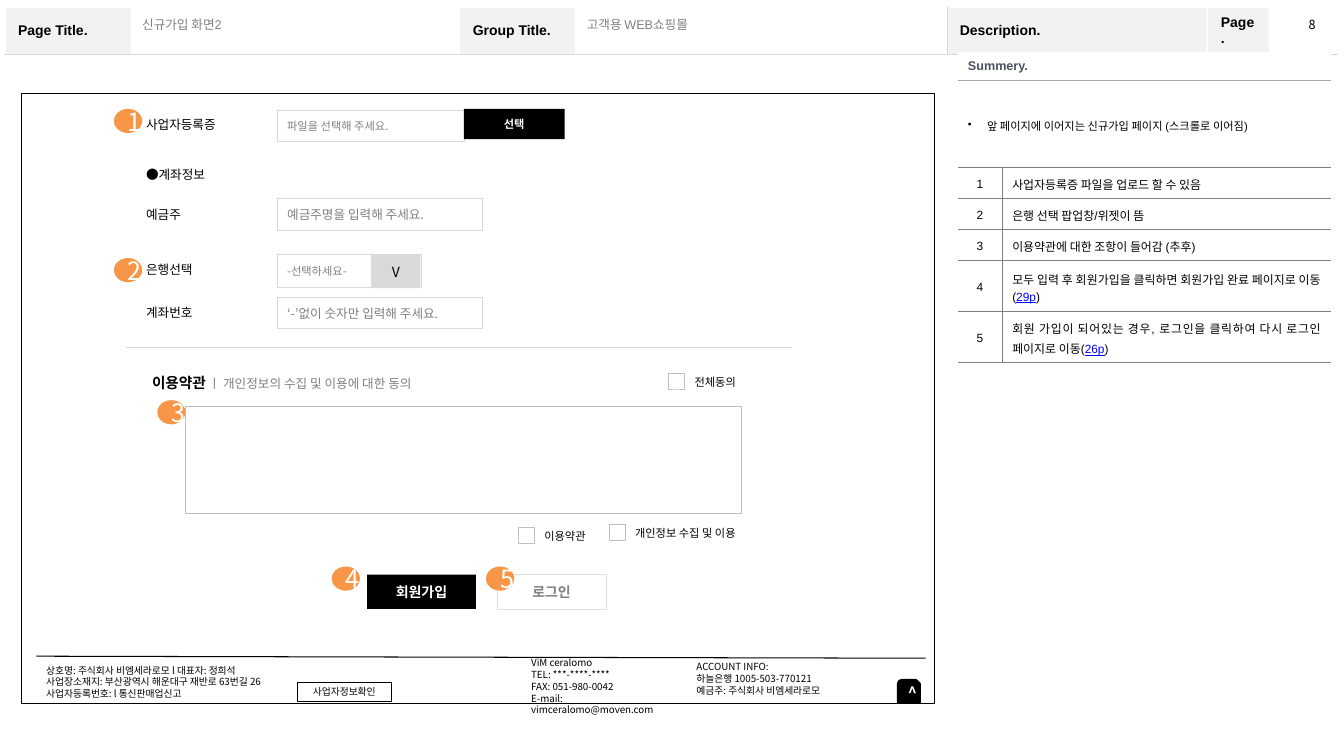
"""Build the second sign-up screen page of a shopping mall storyboard."""
import pptx
import pptx.dml.color
import pptx.enum.shapes
import pptx.enum.text
import pptx.oxml
import pptx.oxml.ns
import pptx.util

Inches = pptx.util.Inches
Pt = pptx.util.Pt
RGBColor = pptx.dml.color.RGBColor
SHAPE = pptx.enum.shapes.MSO_SHAPE
ALIGN = pptx.enum.text.PP_ALIGN
MIDDLE = pptx.enum.text.MSO_ANCHOR.MIDDLE
STRAIGHT = pptx.enum.shapes.MSO_CONNECTOR.STRAIGHT

BLACK = RGBColor(0x00, 0x00, 0x00)
WHITE = RGBColor(0xFF, 0xFF, 0xFF)
GREY = RGBColor(0x80, 0x80, 0x80)
SILVER = RGBColor(0xBF, 0xBF, 0xBF)
RULE_GREY = RGBColor(0xA6, 0xA6, 0xA6)
PALE = RGBColor(0xD9, 0xD9, 0xD9)
BUTTON_EDGE = RGBColor(0xDD, 0xDD, 0xDD)
HEADER_FILL = RGBColor(0xF2, 0xF2, 0xF2)
SLATE = RGBColor(0x4E, 0x52, 0x63)
ORANGE = RGBColor(0xF7, 0x96, 0x46)
LINK_BLUE = RGBColor(0x00, 0x00, 0xFF)
NOTO = "Noto Sans CJK KR"
DRAWING = pptx.oxml.ns.nsdecls("a")


def write(paragraph, text, size, colour=BLACK, bold=False, font=NOTO):
    run = paragraph.add_run()
    run.text = text
    run.font.size = Pt(size)
    run.font.name = font
    run.font.bold = bold
    run.font.color.rgb = colour
    return run


def set_borders(cell, left, right, top, bottom):
    properties = cell._tc.get_or_add_tcPr()
    for side, border in zip("LRTB", (left, right, top, bottom)):
        colour, points = border or (None, 0)
        paint = f'<a:solidFill><a:srgbClr val="{colour}"/></a:solidFill>' if border else "<a:noFill/>"
        properties.append(pptx.oxml.parse_xml(
            f'<a:ln{side} {DRAWING} w="{int(Pt(points))}">{paint}</a:ln{side}>'))


deck = pptx.Presentation()
deck.slide_width = Inches(13.33)
deck.slide_height = Inches(7.5)
slide = deck.slides.add_slide(deck.slide_layouts[1])
shapes = slide.shapes

for heading, text, left, width in (
    (shapes.title, "신규가입 화면2", 1.31, 3.24),
    (slide.placeholders[1], "고객용 WEB쇼핑몰", 5.72, 3.64),
):
    heading.left, heading.top = Inches(left), Inches(0.12)
    heading.width, heading.height = Inches(width), Inches(0.24)
    frame = heading.text_frame
    frame.auto_size = pptx.enum.text.MSO_AUTO_SIZE.NONE
    frame.vertical_anchor = MIDDLE
    line = frame.paragraphs[0]
    line.alignment = ALIGN.LEFT
    indents = line._p.get_or_add_pPr()
    indents.set("marL", "0")
    indents.set("indent", "0")
    indents.append(pptx.oxml.parse_xml(f"<a:buNone {DRAWING}/>"))
    write(line, text, 9, GREY, font="Arial")

page_grid = shapes.add_table(2, 7, Inches(0.05), Inches(0.07), Inches(13.22), Inches(7.14)).table
page_grid.first_row = page_grid.horz_banding = False
for column, width in zip(page_grid.columns, (1.26, 3.25, 1.15, 3.68, 2.59, 0.61, 0.68)):
    column.width = Inches(width)
page_grid.rows[0].height = Inches(0.47)
page_grid.rows[1].height = Inches(6.67)
page_grid.cell(1, 0).merge(page_grid.cell(1, 3))
page_grid.cell(1, 4).merge(page_grid.cell(1, 6))
white_edge, pale_edge = (WHITE, 1), (PALE, 0.25)
header_labels = {0: "Page Title.", 2: "Group Title.", 4: "Description.", 5: "Page."}
for row in range(2):
    for column in range(7):
        cell = page_grid.cell(row, column)
        set_borders(cell,
                    pale_edge if column == 4 else white_edge,
                    pale_edge if column == 3 else white_edge,
                    pale_edge if row else white_edge,
                    white_edge if row else pale_edge)
        cell.fill.background()
        if row == 0 and column in header_labels:
            cell.fill.solid()
            cell.fill.fore_color.rgb = HEADER_FILL
            cell.vertical_anchor = MIDDLE
            cell.margin_left = cell.margin_right = Inches(0.13)
            cell.margin_top = cell.margin_bottom = Inches(0.07)
            write(cell.text_frame.paragraphs[0], header_labels[column], 10, bold=True, font="Arial")

notes = (
    ("사업자등록증 파일을 업로드 할 수 있음", ""),
    ("은행 선택 팝업창/위젯이 뜸", ""),
    ("이용약관에 대한 조항이 들어감 (추후)", ""),
    ("모두 입력 후 회원가입을 클릭하면 회원가입 완료 페이지로 이동(", "29p"),
    ("회원 가입이 되어있는 경우, 로그인을 클릭하여 다시 로그인 페이지로 이동(", "26p"),
)
description = shapes.add_table(7, 2, Inches(9.5), Inches(0.52), Inches(3.7), Inches(3.07)).table
description.first_row = description.horz_banding = False
for column, width in zip(description.columns, (0.44, 3.26)):
    column.width = Inches(width)
for row, height in zip(description.rows, (0.28, 0.86, 0.3, 0.31, 0.31, 0.5, 0.51)):
    row.height = Inches(height)
for row in range(2):
    description.cell(row, 0).merge(description.cell(row, 1))
rules = [None, (RULE_GREY, 0.25)] + [(GREY, 0.25)] * 6
for row in range(7):
    for column in range(2):
        cell = description.cell(row, column)
        divider = (GREY, 0.25) if row > 1 else None
        set_borders(cell, divider if column else None, None if column else divider,
                    rules[row], rules[row + 1])
        cell.fill.background()
        cell.vertical_anchor = MIDDLE
        line = cell.text_frame.paragraphs[0]
        if row > 1:
            line.line_spacing = 1.2
            line.alignment = ALIGN.JUSTIFY if column else ALIGN.CENTER
            note, page = notes[row - 2]
            write(line, note if column else str(row - 1), 8.5, font="Arial")
            if column and page:
                write(line, page, 8.5, LINK_BLUE, font="Arial").font.underline = True
                write(line, ")", 8.5, font="Arial")

summary = description.cell(0, 0)
summary.fill.solid()
summary.fill.fore_color.rgb = WHITE
write(summary.text_frame.paragraphs[0], "Summery.", 9, SLATE, True, "Arial")
overview = description.cell(1, 0).text_frame.paragraphs[0]
overview.alignment = ALIGN.JUSTIFY
overview.line_spacing = 1.2
indents = overview._p.get_or_add_pPr()
indents.set("marL", str(Inches(0.19)))
indents.set("indent", str(-Inches(0.19)))
indents.append(pptx.oxml.parse_xml(f'<a:buChar {DRAWING} char="•"/>'))
write(overview, "앞 페이지에 이어지는 신규가입 페이지 (스크롤로 이어짐)", 8, font="Arial")

RECT, LEFT, CENTER = SHAPE.RECTANGLE, ALIGN.LEFT, ALIGN.CENTER
screen_parts = [
    (RECT, 0.21, 0.92, 9.06, 6.06, None, BLACK, 0.25, None),
    (SHAPE.SNIP_ROUND_RECTANGLE, 8.91, 6.75, 0.21, 0.22, BLACK, BLACK, 2, ("^", 11, WHITE, True, CENTER)),
    (RECT, 2.75, 1.97, 2.03, 0.31, None, PALE, 0.25, ("예금주명을 입력해 주세요.", 9, GREY, False, LEFT)),
    (RECT, 2.75, 1.09, 1.85, 0.31, None, PALE, 0.25, ("파일을 선택해 주세요.", 8, GREY, False, LEFT)),
    (RECT, 4.6, 1.08, 1, 0.3, BLACK, None, 0, ("선택", 8, WHITE, True, CENTER)),
    (RECT, 2.75, 2.52, 1.43, 0.33, None, PALE, 0.25, ("-선택하세요-", 8, GREY, False, LEFT)),
    (RECT, 3.68, 2.53, 0.49, 0.33, PALE, None, 0, ("V", 10, BLACK, False, CENTER)),
    (RECT, 2.75, 2.95, 2.03, 0.31, None, PALE, 0.25, ("‘-’없이 숫자만 입력해 주세요.", 9, GREY, False, LEFT)),
    (RECT, 1.84, 4.03, 5.51, 1.06, None, SILVER, 0.25, None),
    (RECT, 3.64, 5.7, 1.08, 0.34, BLACK, None, 0, ("회원가입", 10, WHITE, True, CENTER)),
    (RECT, 4.93, 5.7, 1.08, 0.34, WHITE, BUTTON_EDGE, 0.25, ("로그인", 10, GREY, True, CENTER)),
    (RECT, 2.95, 6.77, 0.93, 0.19, None, BLACK, 0.25, ("사업자정보확인", 7, BLACK, False, CENTER)),
]
for left, top in ((6.63, 3.7), (5.14, 5.23), (6.04, 5.2)):
    screen_parts.append((RECT, left, top, 0.16, 0.16, None, SILVER, 0.25, None))
for number, (left, top) in enumerate(((1.13, 1.08), (1.13, 2.56), (1.56, 3.97), (3.29, 5.62), (4.82, 5.62)), 1):
    screen_parts.append((SHAPE.OVAL, left, top, 0.28, 0.24, ORANGE, None, 0,
                         (str(number), 18, WHITE, False, CENTER)))
for preset, left, top, width, height, fill, edge, weight, caption in screen_parts:
    part = shapes.add_shape(preset, Inches(left), Inches(top), Inches(width), Inches(height))
    part.shadow.inherit = False
    part.fill.background()
    if fill is not None:
        part.fill.solid()
        part.fill.fore_color.rgb = fill
    part.line.fill.background()
    if edge is not None:
        part.line.color.rgb = edge
        part.line.width = Pt(weight)
    if caption:
        text, size, colour, bold, alignment = caption
        part.text_frame.vertical_anchor = MIDDLE
        part.text_frame.paragraphs[0].alignment = alignment
        write(part.text_frame.paragraphs[0], text, size, colour, bold)

for x1, y1, x2, y2, colour, weight in ((0.36, 6.51, 9.18, 6.53, BLACK, 0.75),
                                       (1.25, 3.44, 7.86, 3.44, PALE, 0.25)):
    separator = shapes.add_connector(STRAIGHT, Inches(x1), Inches(y1), Inches(x2), Inches(y2))
    separator.line.color.rgb = colour
    separator.line.width = Pt(weight)
    separator._element.spPr.append(pptx.oxml.parse_xml(f"<a:effectLst {DRAWING}/>"))

labels = (
    (12.88, 0.12, 0.27, 0.25, 9, ("8",)),
    (1.35, 1.11, 1.18, 0.25, 9, ("사업자등록증",)),
    (1.35, 1.61, 1.18, 0.25, 9, ("●계좌정보",)),
    (1.35, 2, 1.18, 0.25, 9, ("예금주",)),
    (1.35, 2.55, 1.18, 0.25, 9, ("은행선택",)),
    (1.35, 2.98, 1.18, 0.25, 9, ("계좌번호",)),
    (1.41, 3.66, 4.19, 0.28, 10.5, ("이용약관",)),
    (6.79, 3.67, 0.75, 0.24, 8, ("전체동의",)),
    (5.3, 5.2, 0.75, 0.24, 8, ("이용약관",)),
    (6.2, 5.17, 1.32, 0.24, 8, ("개인정보 수집 및 이용",)),
    (5.17, 6.47, 1.64, 0.57, 7, ("ViM ceralomo", "TEL: ***-****-****", "FAX: 051-980-0042",
                                 "E-mail: vimceralomo@moven.com")),
    (6.81, 6.51, 2.33, 0.45, 7, ("ACCOUNT INFO:", "하늘은행 1005-503-770121", "예금주: 주식회사 비엠세라로모")),
    (0.36, 6.54, 2.92, 0.45, 7, ("상호명: 주식회사 비엠세라로모 l 대표자: 정희석",
                                 "사업장소재지: 부산광역시 해운대구 재반로 63번길 26",
                                 "사업자등록번호: l 통신판매업신고")),
)
for left, top, width, height, size, lines in labels:
    frame = shapes.add_textbox(Inches(left), Inches(top), Inches(width), Inches(height)).text_frame
    frame.word_wrap = True
    for index, text in enumerate(lines):
        line = frame.add_paragraph() if index else frame.paragraphs[0]
        write(line, text, size, bold=size == 10.5)
    if size == 10.5:
        write(line, " ㅣ 개인정보의 수집 및 이용에 대한 동의", 9, GREY)

deck.save("out.pptx")
